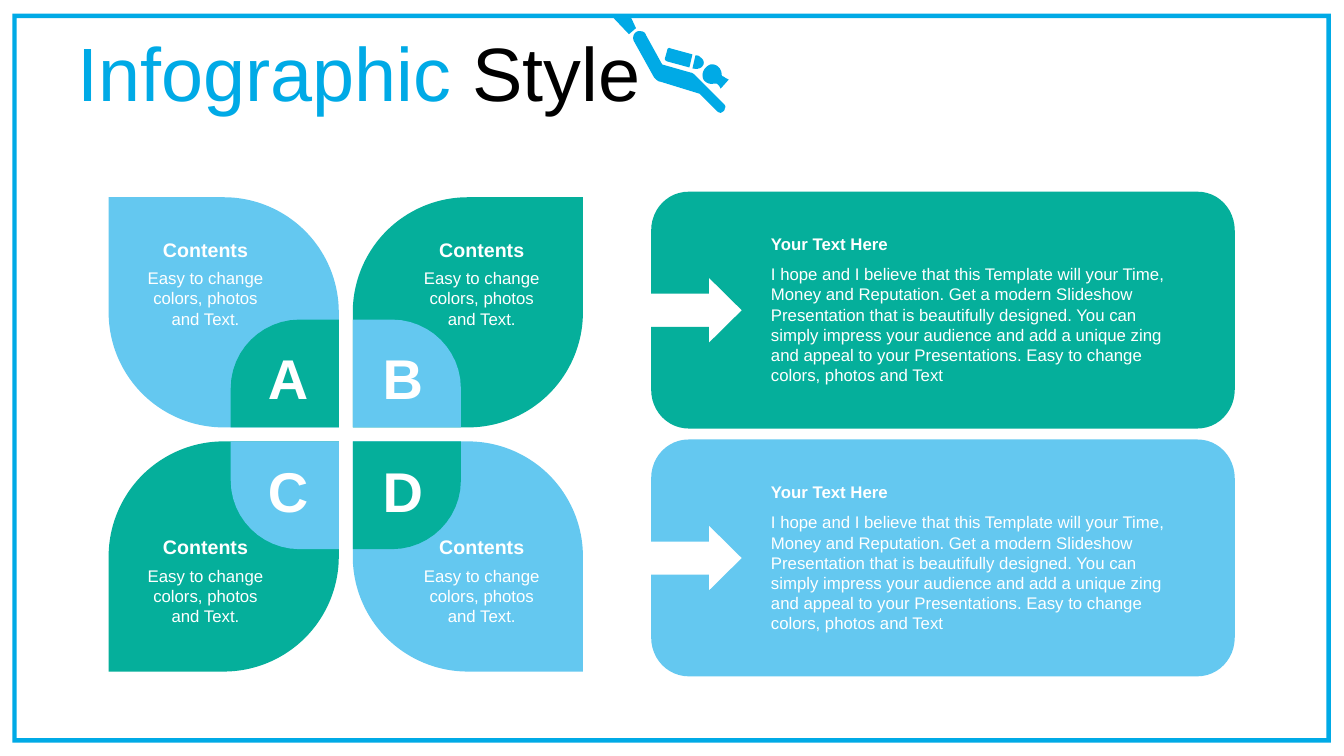
from pptx import Presentation
from pptx.dml.color import RGBColor
from pptx.enum import shapes, text
from pptx.util import Pt

BLUE, SKY, TEAL, WHITE, BLACK = "00AAE6", "64C8F0", "05AF9B", "FFFFFF", "000000"


def paint(shape, color):
    shape.shadow.inherit = False
    shape.fill.solid()
    shape.fill.fore_color.rgb = RGBColor.from_string(color)
    shape.line.fill.background()


def write(runs, left, top, width, height, size=12, bold=False,
          align=text.PP_ALIGN.LEFT, anchor=text.MSO_ANCHOR.TOP, spacing=None):
    box = slide.shapes.add_textbox(Pt(left), Pt(top), Pt(width), Pt(height))
    frame = box.text_frame
    frame.word_wrap = True
    frame.vertical_anchor = anchor
    paragraph = frame.paragraphs[0]
    paragraph.alignment = align
    paragraph.line_spacing = spacing
    for words, color in runs:
        run = paragraph.add_run()
        run.text = words
        run.font.name = "Arial"
        run.font.size = Pt(size)
        run.font.bold = bold
        run.font.color.rgb = RGBColor.from_string(color)


deck = Presentation()
deck.slide_width, deck.slide_height = Pt(960), Pt(540)
slide = deck.slides.add_slide(deck.slide_layouts[6])

# Border and title
border = slide.shapes.add_shape(
    shapes.MSO_SHAPE.FRAME, Pt(8.8), Pt(9.8), Pt(941.8), Pt(520.6))
border.adjustments[0] = 0.006
paint(border, BLUE)
write([("Infographic", BLUE), (" Style", BLACK)], 48.2, 26.6, 881.3, 56.9,
      size=54, anchor=text.MSO_ANCHOR.MIDDLE, spacing=0.9)

# Four petals around the centre of the flower
center_x, center_y, gap, petal_size = 247, 310.3, 5, 164.4
quarters = [("A", -1, -1, SKY, TEAL), ("B", 1, -1, TEAL, SKY),
            ("C", -1, 1, TEAL, SKY), ("D", 1, 1, SKY, TEAL)]
for letter, side_x, side_y, petal_color, badge_color in quarters:
    petal = slide.shapes.add_shape(
        shapes.MSO_SHAPE.ROUND_2_DIAG_RECTANGLE,
        Pt(center_x + (gap if side_x > 0 else -gap - petal_size)),
        Pt(center_y + (gap if side_y > 0 else -gap - petal_size)),
        Pt(petal_size), Pt(petal_size))
    falling = side_x == side_y
    petal.adjustments[0] = 0 if falling else 0.5
    petal.adjustments[1] = 0.5 if falling else 0
    paint(petal, petal_color)

# Outlines: M moves, L draws a line, C draws a Bezier curve
badge_path = "M 5 5 L 82.2 5 L 82.2 33 C 82.2 60 60 82 33 82 L 5 82"
panel_path = (
    "M 27 0 L 390 0 C 405 0 416.9 12 416.9 28 L 416.9 141.2"
    " C 416.9 157 405 169.2 390 169.2 L 27 169.2 C 12 169.2 0 157 0 141.2"
    " L 0 96.5 L 41.2 96.5 L 41.2 108 L 64.8 84.7 L 41.2 61.4"
    " L 41.2 72.9 L 0 72.9 L 0 28 C 0 12 12 0 27 0")
diver_path = (
    # head and mask
    "M 705 64 C 711 63 716 68 716 74 C 716 75 717 76 718 76"
    " C 719 77 721 78 723 79 L 715 88 C 714 86 713 84 711 83"
    " C 710 83 709 83 708 83 C 704 84 700 82 698 79 C 695 73 699 66 705 64"
    # tank
    " M 691 55 C 693 55 694 56 695 57 C 697 58 699 61 698 64"
    " C 697 66 695 68 693 68 C 691 69 689 68 687 68 L 690 55"
    " M 665 48 L 687 54 L 684 67 L 662 61 C 660 60 659 59 660 57"
    " L 662 50 C 662 48 664 47 665 48"
    # body and arm
    " M 635 31 C 638 31 640 32 641 35 L 657 64 L 685 72"
    " C 687 72 689 74 691 76 L 718 103 C 720 105 720 106 719 108"
    " C 719 110 717 111 715 112 C 714 112 712 111 711 110 L 694 93"
    " L 655 81 C 653 81 651 79 649 77 L 629 41 C 627 37 629 32 633 31"
    # flipper
    " M 606 15 L 625 15 L 631 28 L 624 34")

# Each outline: colour, origin, points per unit across and down, path
outlines = [(BLUE, 0, 0, 0.72, 0.72, diver_path),
            (TEAL, 465.1, 136.9, 1, 1, panel_path),
            (SKY, 465.1, 313.9, 1, 1, panel_path)]
outlines += [(badge_color, center_x, center_y, side_x, side_y, badge_path)
             for _, side_x, side_y, _, badge_color in quarters]
CURVE_STEPS = 12
for color, origin_x, origin_y, unit_x, unit_y, outline in outlines:
    builder = None
    for contour in outline.split("M")[1:]:
        points = []
        for step in contour.replace("C", "L").split("L"):
            n = [float(value) for value in step.split()]
            knots = list(zip(n[::2], n[1::2]))
            if len(knots) == 1:
                points += knots
                continue
            corners = list(zip(points[-1], *knots))
            for i in range(1, CURVE_STEPS + 1):
                t = i / CURVE_STEPS
                points.append([
                    a * (1 - t) ** 3 + 3 * b * t * (1 - t) ** 2
                    + 3 * c * t ** 2 * (1 - t) + d * t ** 3
                    for a, b, c, d in corners])
        placed = [(Pt(origin_x + x * unit_x), Pt(origin_y + y * unit_y))
                  for x, y in points]
        if builder is None:
            builder = slide.shapes.build_freeform(*placed[0])
        else:
            builder.move_to(*placed[0])
        builder.add_line_segments(placed[1:], close=True)
    paint(builder.convert_to_shape(), color)

# Petal letters and captions
for letter, side_x, side_y, _, _ in quarters:
    write([(letter, WHITE)], 224.1 + 41 * side_x, 282.2 + 40.3 * side_y,
          45.4, 55.4, size=40, bold=True, align=text.PP_ALIGN.CENTER)
    caption_left = 95 if side_x < 0 else 292.3
    caption_top = 166.3 if side_y < 0 else 378.7
    write([("Contents", WHITE)], caption_left, caption_top, 103.7, 20.2,
          size=14, bold=True, align=text.PP_ALIGN.CENTER)
    write([("Easy to change colors, photos and Text.", WHITE)],
          caption_left, caption_top + 21.6, 103.7, 49,
          align=text.PP_ALIGN.CENTER)

# Panel texts
pitch = ("I hope and I believe that this Template will your Time, Money and "
         "Reputation. Get a modern Slideshow Presentation that is beautifully "
         "designed. You can simply impress your audience and add a unique zing "
         "and appeal to your Presentations. Easy to change colors, photos and Text")
for heading_top in (163.4, 340.6):
    write([("Your Text Here", WHITE)], 543.6, heading_top, 308.9, 21.6, bold=True)
    write([(pitch, WHITE)], 543.6, heading_top + 21.6, 308.9, 94.3)

deck.save("out.pptx")
